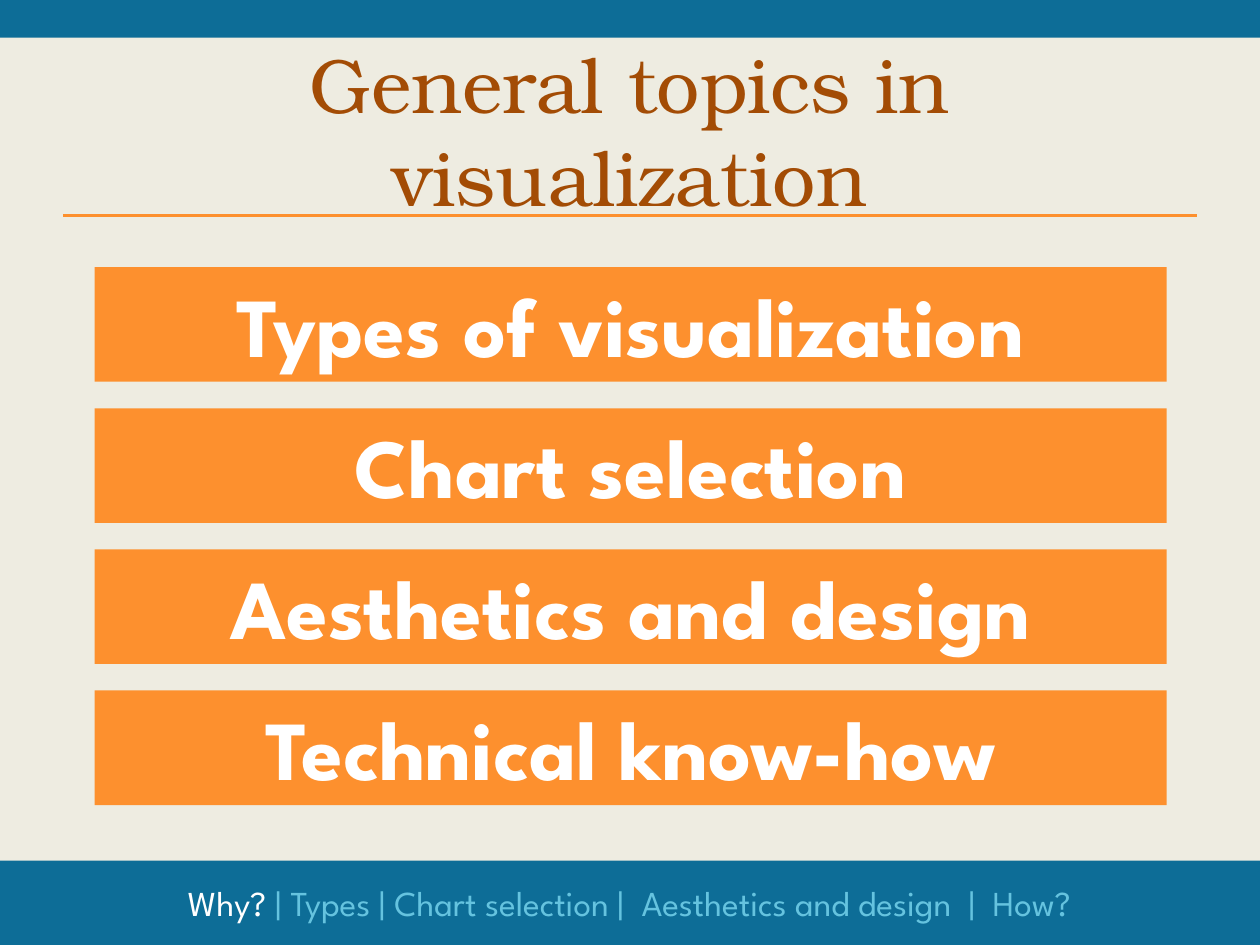
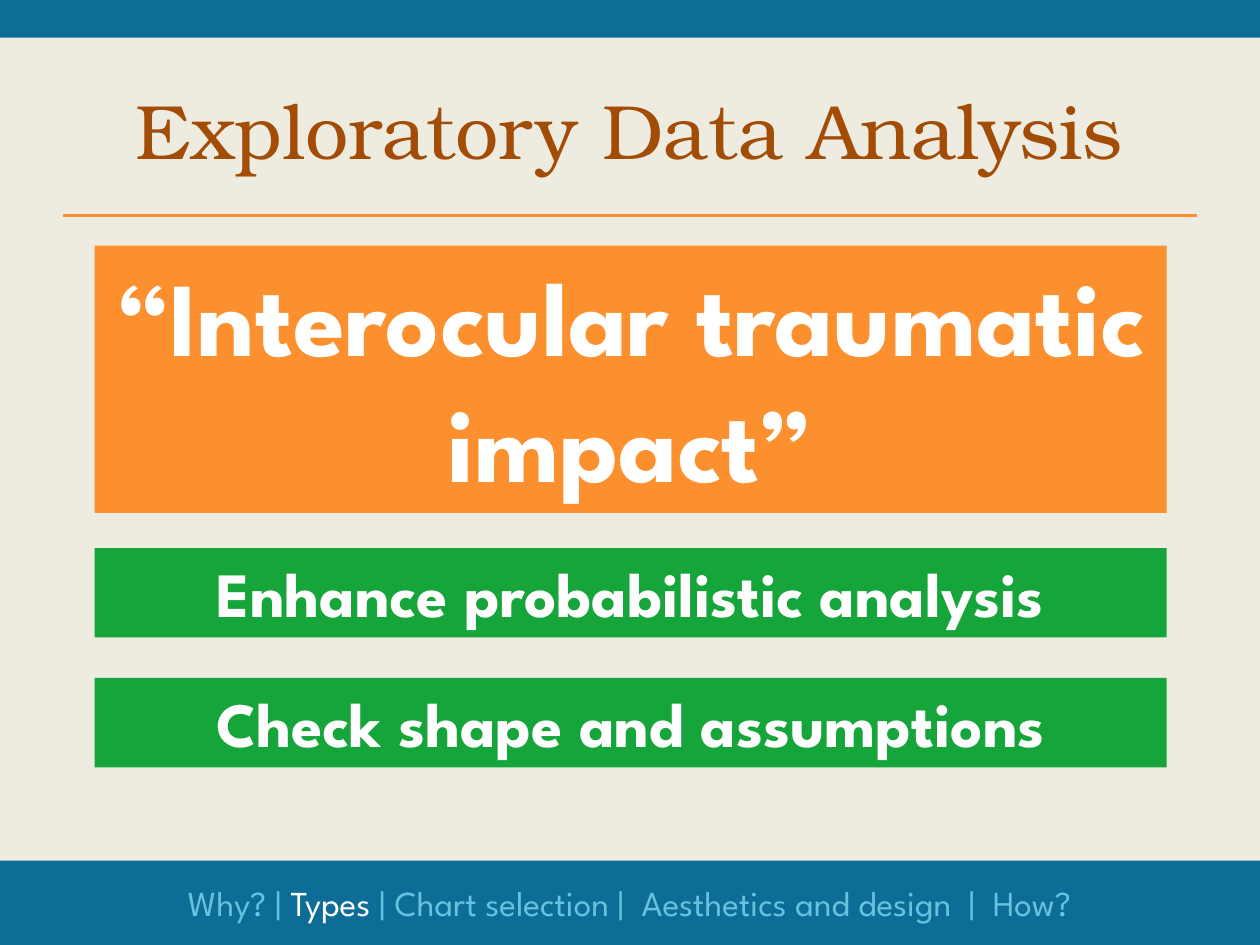
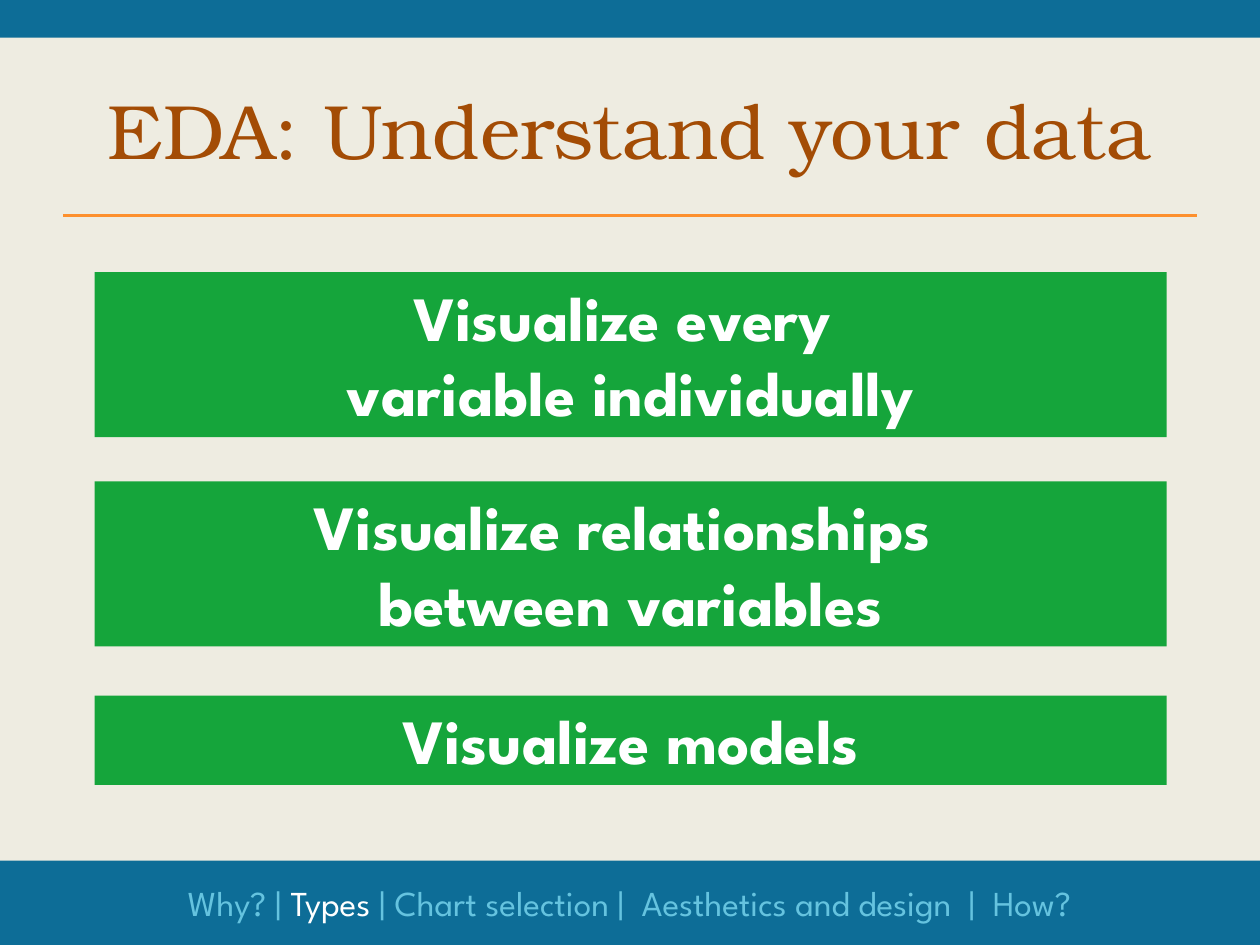
from lxml import etree
from pptx import Presentation
from pptx.dml.color import RGBColor
from pptx.enum.shapes import MSO_CONNECTOR, MSO_SHAPE
from pptx.enum.text import MSO_ANCHOR, MSO_AUTO_SIZE, PP_ALIGN
from pptx.oxml.ns import qn
from pptx.util import Inches, Pt

# Shared look
BLUE, ORANGE, GREEN = "0D6D97", "FD902E", "15A53B"
CREAM, BROWN, WHITE, PALE = "EEECE1", "A34C05", "FFFFFF", "65C3DF"
SERIF, SANS = "TeX Gyre Bonum", "League Spartan"

# Footer pieces: section names and the separators between them
FOOTER = ["Why? ", "| ", "Types ", "| Chart selection |  Aesthetics and design  |  How?"]

# Title, current section, boxes as (top, height, colour, size, lines)
topics = ["Types of visualization", "Chart selection",
          "Aesthetics and design", "Technical know-how"]
slides = [
    ("General topics in visualization", "Why? ",
     [(2.12 + 1.12 * i, 0.91, ORANGE, 48, [topic]) for i, topic in enumerate(topics)]),
    ("Exploratory Data Analysis", "Types ",
     [(1.95, 2.12, ORANGE, 60, ["“Interocular traumatic impact”"]),
      (4.35, 0.71, GREEN, 36, ["Enhance probabilistic analysis"]),
      (5.38, 0.71, GREEN, 36, ["Check shape and assumptions"])]),
    ("EDA: Understand your data", "Types ",
     [(2.16, 1.31, GREEN, 36, ["Visualize every ", "variable individually"]),
      (3.82, 1.31, GREEN, 36, ["Visualize relationships ", "between variables"]),
      (5.52, 0.71, GREEN, 36, ["Visualize models"])]),
]


def rgb(value):
    return RGBColor.from_string(value)


def add_text(p, text, font, size, color, bold=False):
    p.alignment = PP_ALIGN.CENTER
    r = p.add_run()
    r.text = text
    r.font.name = font
    r.font.size = Pt(size)
    r.font.bold = bold
    r.font.color.rgb = rgb(color)


prs = Presentation()
prs.slide_width, prs.slide_height = Inches(10), Inches(7.5)

for title, section, boxes in slides:
    s = prs.slides.add_slide(prs.slide_layouts[6])
    s.background.fill.solid()
    s.background.fill.fore_color.rgb = rgb(CREAM)

    # Bands, then content boxes
    bands = [(0, 6.83, 10, 0.67, BLUE, 0, []), (0, 0, 10, 0.3, BLUE, 0, [])]
    panels = [(0.75, top, 8.51, height, color, size, lines)
              for top, height, color, size, lines in boxes]
    for left, top, width, height, color, size, lines in bands + panels:
        sp = s.shapes.add_shape(MSO_SHAPE.RECTANGLE, Inches(left), Inches(top),
                                Inches(width), Inches(height))
        sp.shadow.inherit = False
        sp.fill.solid()
        sp.fill.fore_color.rgb = rgb(color)
        sp.line.fill.background()
        if lines:
            tf = sp.text_frame
            tf.word_wrap = True
            tf.auto_size = MSO_AUTO_SIZE.SHAPE_TO_FIT_TEXT
            tf.vertical_anchor = MSO_ANCHOR.TOP
            p = tf.paragraphs[0]
            for i, line in enumerate(lines):
                if i:
                    p.add_line_break()
                add_text(p, line, SANS, size, WHITE, bold=True)

    # Title and the rule below it
    rule = s.shapes.add_connector(MSO_CONNECTOR.STRAIGHT, Inches(0.5), Inches(1.71),
                                  Inches(9.5), Inches(1.71))
    rule.line.color.rgb = rgb(ORANGE)
    rule.line.width = Pt(2)
    etree.SubElement(rule._element.spPr, qn("a:effectLst"))

    tf = s.shapes.add_textbox(Inches(0.5), Inches(0.5), Inches(9), Inches(1.05)).text_frame
    tf.word_wrap = True
    tf.vertical_anchor = MSO_ANCHOR.MIDDLE
    add_text(tf.paragraphs[0], title, SERIF, 44, BROWN)

    # Footer with the current section in white
    tf = s.shapes.add_textbox(0, Inches(6.95), Inches(10), Inches(0.44)).text_frame
    tf.word_wrap = True
    tf.auto_size = MSO_AUTO_SIZE.SHAPE_TO_FIT_TEXT
    for piece in FOOTER:
        add_text(tf.paragraphs[0], piece, SANS, 20, WHITE if piece == section else PALE)

prs.save("out.pptx")
